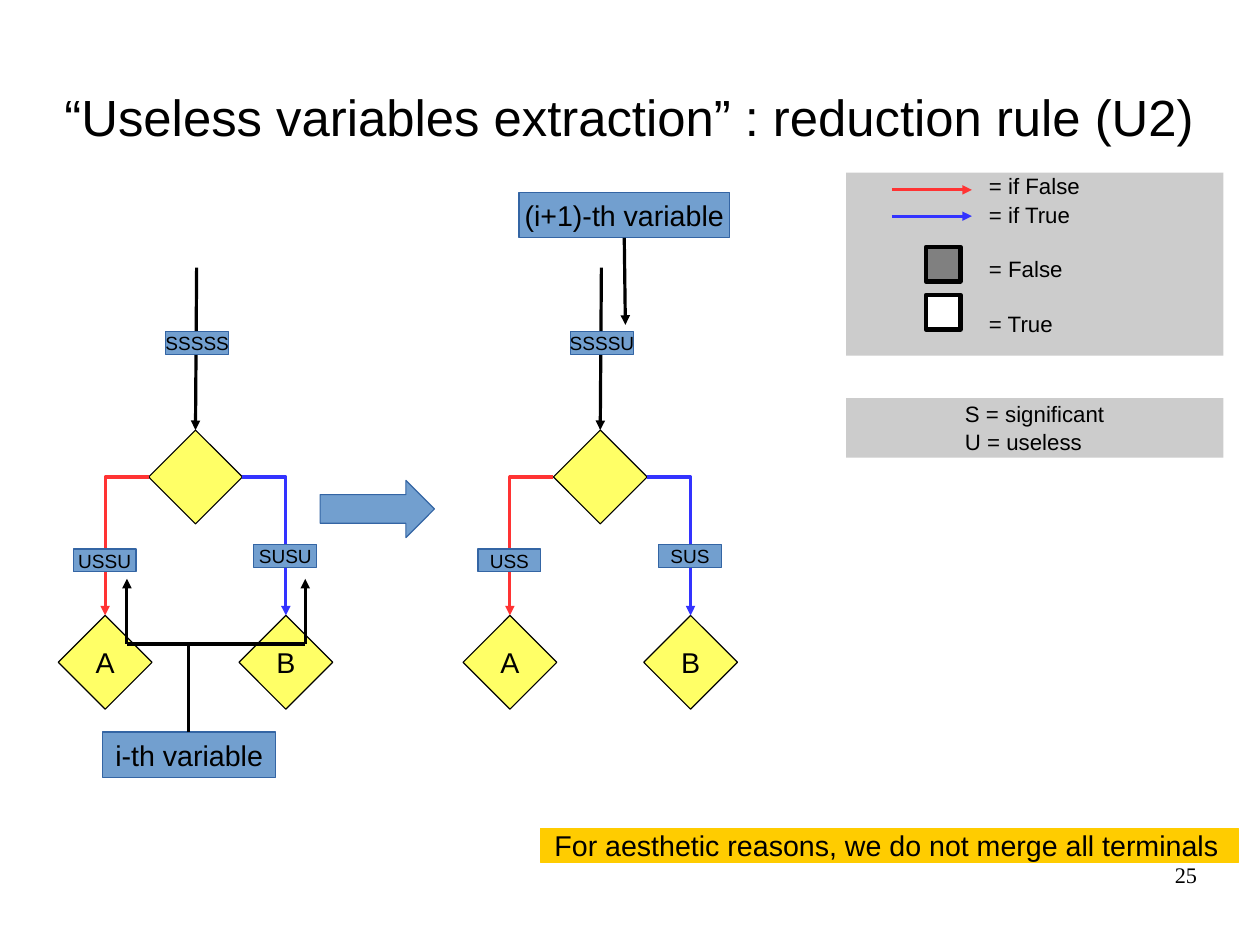
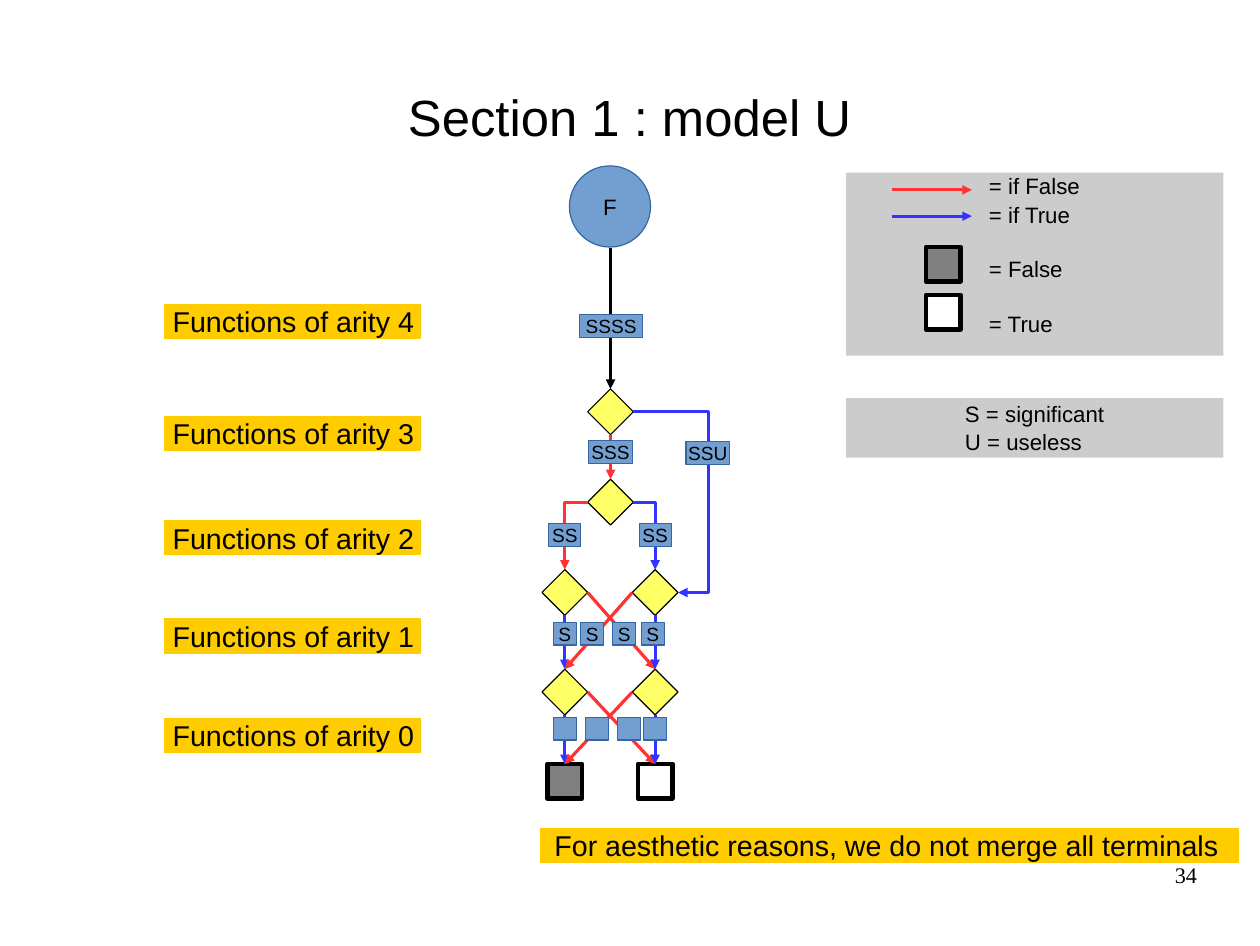
from dataclasses import dataclass

from lxml import etree
from pptx import Presentation
from pptx.dml.color import RGBColor
from pptx.enum import shapes, text
from pptx.oxml.ns import qn
from pptx.util import Inches, Pt

KIND = shapes.MSO_SHAPE
LINK = shapes.MSO_CONNECTOR
ALIGN = text.PP_ALIGN
TOP, LEFT, BOTTOM, RIGHT = range(4)  # connection sites


@dataclass(frozen=True)
class Theme:
    font: str = "Arial"
    serif: str = "Times New Roman"
    ink: str = "000000"
    white: str = "FFFFFF"
    gray: str = "808080"
    panel: str = "CCCCCC"
    blue: str = "729FCF"
    edge: str = "3465A4"
    node: str = "FFFF66"
    band: str = "FFCC00"
    no: str = "FF3333"
    yes: str = "3333FF"
    title: int = 32
    big: int = 18
    mid: int = 14
    small: int = 12


T = Theme()


def rgb(code):
    return RGBColor.from_string(code)


def write(frame, lines, size, font=T.font, align=ALIGN.CENTER, gaps=(),
          pad=(0, 0, 0, 0), wrap=False, anchor=text.MSO_ANCHOR.MIDDLE):
    """Fill a frame; gaps are the points before the second and later lines."""
    frame.word_wrap = wrap
    frame.auto_size = text.MSO_AUTO_SIZE.NONE
    frame.vertical_anchor = anchor
    (frame.margin_left, frame.margin_top,
     frame.margin_right, frame.margin_bottom) = map(Inches, pad)
    for i, line in enumerate(lines):
        para = frame.add_paragraph() if i else frame.paragraphs[0]
        para.alignment = align
        if i and gaps:
            para.space_before = Pt(gaps[i - 1])
        run = para.add_run()
        run.text = line
        run.font.size = Pt(size)
        run.font.name = font
        run.font.color.rgb = rgb(T.ink)


def draw(slide, kind, box, fill, edge=None, width=0):
    shape = slide.shapes.add_shape(kind, *map(Inches, box))
    shape.shadow.inherit = False
    shape.fill.solid()
    shape.fill.fore_color.rgb = rgb(fill)
    if edge:
        shape.line.color.rgb = rgb(edge)
        shape.line.width = Pt(width)
    else:
        shape.line.fill.background()
    return shape


def tag(slide, x, y, w, words="", h=0.2, size=T.small, kind=KIND.RECTANGLE):
    shape = draw(slide, kind, (x, y, w, h), T.blue, T.edge)
    if words:
        write(shape.text_frame, [words], size)


def node(slide, x, y, side, name=""):
    shape = draw(slide, KIND.DIAMOND, (x, y, side, side), T.node, T.ink)
    if name:
        write(shape.text_frame, [name], T.big)
    return shape


def leaf(slide, x, y, fill):
    """Terminal square with a heavy outline."""
    return draw(slide, KIND.RECTANGLE, (x, y, 0.3, 0.3), fill, T.ink, 3)


def band(slide, x, y, w, words, pad):
    shape = draw(slide, KIND.RECTANGLE, (x, y, w, 0.3), T.band, T.band)
    write(shape.text_frame, [words], T.big, align=ALIGN.LEFT,
          pad=(pad, 0, 0, 0), wrap=True)


def ink_line(line, color, head=True):
    line.line.color.rgb = rgb(color)
    line.line.width = Pt(0)
    if head:
        etree.SubElement(line.line._get_or_add_ln(), qn("a:tailEnd"),
                         type="triangle")
    etree.SubElement(line._element.spPr, qn("a:effectLst"))


def arrow(slide, start, end, color=T.ink, head=True):
    line = slide.shapes.add_connector(LINK.STRAIGHT,
                                      *map(Inches, (*start, *end)))
    ink_line(line, color, head)


def link(slide, source, out, target, into, color, form=None, bend=None):
    """Join two shapes; form names an elbow preset, bend its turning point."""
    kind = LINK.ELBOW if form else LINK.STRAIGHT
    line = slide.shapes.add_connector(kind, 0, 0, 0, 0)
    line.begin_connect(source, out)
    line.end_connect(target, into)
    if form:
        preset = line._element.spPr.find(qn("a:prstGeom"))
        preset.set("prst", form)
        if bend:
            guides = preset.find(qn("a:avLst"))
            if guides is None:
                guides = etree.SubElement(preset, qn("a:avLst"))
            etree.SubElement(guides, qn("a:gd"), name="adj1",
                             fmla=f"val {round(bend * 100000)}")
    ink_line(line, color)


def fork(slide, root, left, right):
    """Branch from root to both children: false left, true right."""
    for side, child, color in ((LEFT, left, T.no), (RIGHT, right, T.yes)):
        link(slide, root, side, child, TOP, color, "bentConnector2")


def legend(slide):
    key = draw(slide, KIND.RECTANGLE, (7.4, 1.51, 3.3, 1.6), T.panel)
    write(key.text_frame, ["= if False", "= if True", "= False", "= True"],
          T.mid, align=ALIGN.LEFT, gaps=(1, 17.5, 17.5),
          pad=(1.25, 0, 0, 0), wrap=True, anchor=text.MSO_ANCHOR.TOP)
    for y, color in ((1.66, T.no), (1.89, T.yes)):
        arrow(slide, (7.8, y), (8.5, y), color)
    for y, fill in ((2.16, T.gray), (2.58, T.white)):
        leaf(slide, 8.1, y, fill)
    terms = draw(slide, KIND.RECTANGLE, (7.4, 3.48, 3.3, 0.52), T.panel)
    write(terms.text_frame, ["S = significant", "U = useless"], T.mid,
          align=ALIGN.LEFT, gaps=(1,), pad=(1.04, 0, 0, 0), wrap=True)


def page(deck, title, number):
    """Start a slide with the title, legend, note and number all share."""
    slide = deck.slides.add_slide(deck.slide_layouts[5])
    head = slide.shapes.title
    head.left, head.top, head.width, head.height = map(
        Inches, (0.55, 0.33, 9.92, 1.38))
    write(head.text_frame, [title], T.title, wrap=True)
    legend(slide)
    band(slide, 4.73, 7.24, 6.1,
         "For aesthetic reasons, we do not merge all terminals", 0.12)
    foot = slide.shapes.add_textbox(*map(Inches, (7.9, 7.53, 2.57, 0.57)))
    write(foot.text_frame, [number], T.mid, T.serif, ALIGN.RIGHT, wrap=True,
          anchor=text.MSO_ANCHOR.TOP)
    return slide


def tree(slide, x, top, left, right):
    """Root with children A and B; the three words label the edges."""
    side = 0.82
    root = node(slide, x + 0.79, 3.76, side)
    a, b = (node(slide, x + dx, 5.38, side, name)
            for dx, name in ((0, "A"), (1.58, "B")))
    fork(slide, root, a, b)
    arrow(slide, (x + 1.21, 2.34), (x + 1.2, 3.76))
    for dx, y, words in ((0.94, 2.9, top), (0.13, 4.8, left),
                         (1.71, 4.76, right)):
        tag(slide, x + dx, y, 0.55, words)


def rule(deck):
    slide = page(deck, "“Useless variables extraction” : reduction rule (U2)",
                 "25")
    tree(slide, 0.51, "SSSSS", "USSU", "SUSU")
    tree(slide, 4.05, "SSSSU", "USS", "SUS")
    draw(slide, KIND.RIGHT_ARROW, (2.8, 4.2, 1, 0.5), T.blue, T.edge)
    tag(slide, 0.9, 6.4, 1.51, "i-th variable", 0.4, T.big)
    tag(slide, 4.54, 1.68, 1.84, "(i+1)-th variable", 0.4, T.big)
    arrow(slide, (5.46, 2.08), (5.47, 2.84))
    ends, bar = (1.11, 2.67), 5.63
    arrow(slide, (1.65, 6.4), (1.65, bar), head=False)
    arrow(slide, (ends[0], bar), (ends[1], bar), head=False)
    for x in ends:
        arrow(slide, (x, bar), (x, 5.06))


def model(deck):
    slide = page(deck, "Section 1 : model U", "34")
    side, cols, mid = 0.4, (4.74, 5.53), 5.14
    for arity, y in enumerate((6.28, 5.41, 4.55, 3.64, 2.66)):
        band(slide, 1.44, y, 2.24, f"Functions of arity {arity}", 0.07)

    tag(slide, 4.98, 1.45, 0.71, "F", 0.71, T.mid, KIND.OVAL)
    root, split = (node(slide, mid, y, side) for y in (3.4, 4.19))
    upper, lower = ([node(slide, x, y, side) for x in cols]
                    for y in (4.98, 5.85))
    leaves = [leaf(slide, x + 0.05, 6.68, fill)
              for x, fill in zip(cols, (T.gray, T.white))]

    arrow(slide, (5.34, 2.17), (5.34, 3.4))
    link(slide, root, BOTTOM, split, TOP, T.no)
    link(slide, root, RIGHT, upper[1], RIGHT, T.yes, "bentConnector3", 1.68)
    fork(slide, split, *upper)
    for row, below in ((upper, lower), (lower, leaves)):
        for i, inner in enumerate((RIGHT, LEFT)):
            link(slide, row[i], BOTTOM, below[i], TOP, T.yes)
            link(slide, row[i], inner, below[1 - i], TOP, T.no)

    for x, y, w, words in ((5.07, 2.75, 0.55, "SSSS"),
                           (5.15, 3.85, 0.38, "SSS"),
                           (6, 3.86, 0.38, "SSU"),
                           (4.8, 4.58, 0.28, "SS"),
                           (5.59, 4.58, 0.28, "SS")):
        tag(slide, x, y, w, words)
    for y, words, places in ((5.44, "S", (4.84, 5.08, 5.36, 5.61)),
                             (6.27, "", (4.84, 5.12, 5.4, 5.63))):
        for x in places:
            tag(slide, x, y, 0.2, words)


def main():
    deck = Presentation()
    deck.slide_width, deck.slide_height = Inches(11.02), Inches(8.27)
    rule(deck)
    model(deck)
    deck.save("out.pptx")


if __name__ == "__main__":
    main()
